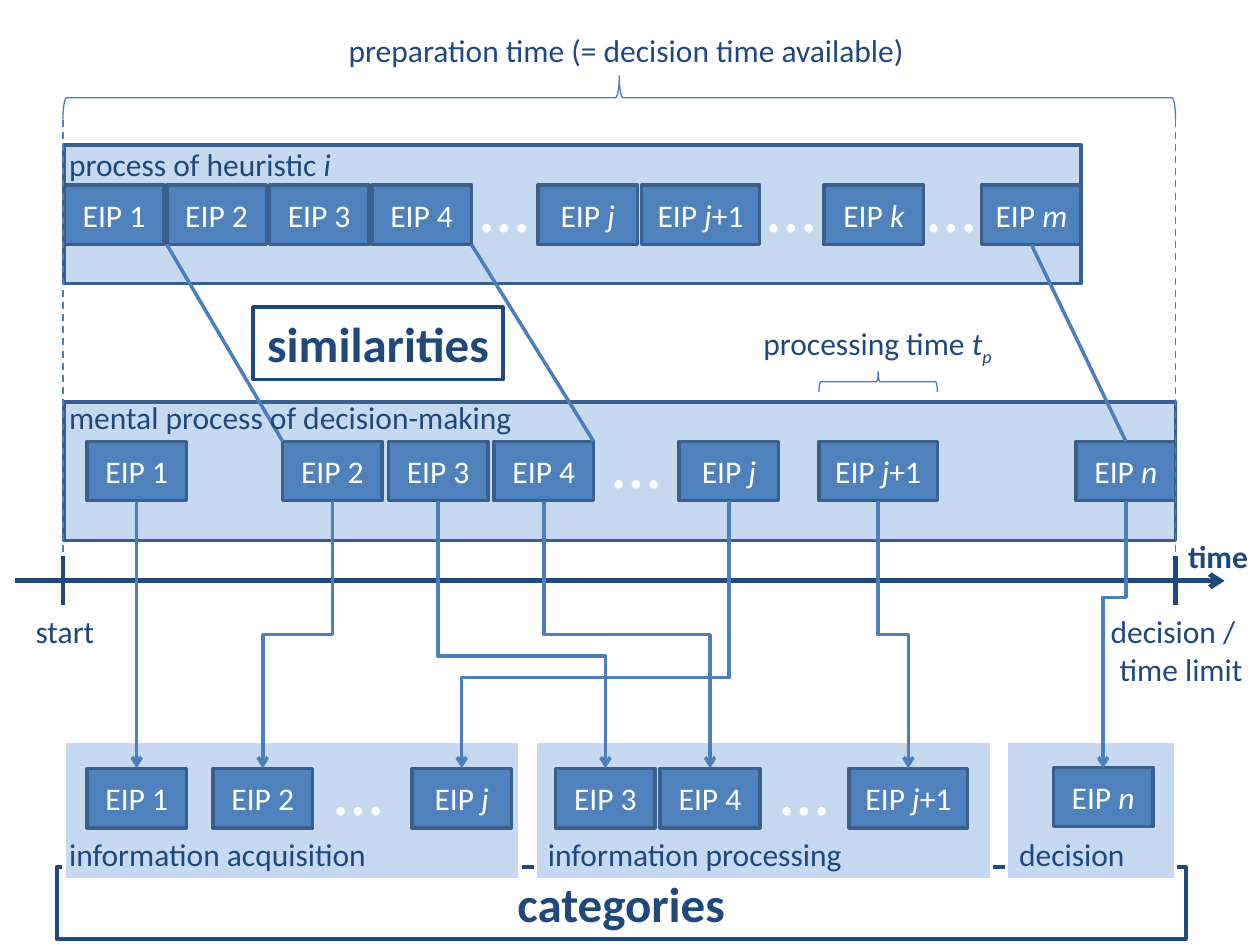
from lxml import etree
from pptx import Presentation
from pptx.dml.color import RGBColor
from pptx.enum.dml import MSO_LINE
from pptx.enum.shapes import MSO_CONNECTOR, MSO_SHAPE
from pptx.enum.text import MSO_ANCHOR, MSO_AUTO_SIZE, PP_ALIGN
from pptx.oxml.ns import qn
from pptx.util import Pt

RECT, BRACE = MSO_SHAPE.RECTANGLE, MSO_SHAPE.RIGHT_BRACE
STRAIGHT, ELBOW = MSO_CONNECTOR.STRAIGHT, MSO_CONNECTOR.ELBOW
LEFT, MID, RIGHT = PP_ALIGN.LEFT, PP_ALIGN.CENTER, PP_ALIGN.RIGHT
MIDDLE, TOP = MSO_ANCHOR.MIDDLE, MSO_ANCHOR.TOP
GROW, DASH = MSO_AUTO_SIZE.SHAPE_TO_FIT_TEXT, MSO_LINE.DASH

FONT = "Calibri"
COLORS = {"navy": "1F497D", "edge": "3A5F8C", "link": "4B7EBC",
          "step": "4F81BD", "pale": "C6D9F1", "white": "FFFFFF"}
STEP_W, WIDE_W, STEP_H = 56.9, 67.7, 33.9


def rgb(name):
    return RGBColor.from_string(COLORS[name])


def write(frame, text, size=18, color="navy", bold=False, align=LEFT):
    """Parts between asterisks are italic; a leading underscore makes a subscript."""
    frame.word_wrap = True
    para = frame.paragraphs[0]
    para.alignment = align
    for i, part in enumerate(text.split("*")):
        for n, piece in enumerate(part.split("\n")):
            if n:
                para.add_line_break()
            if not piece:
                continue
            run = para.add_run()
            run.text = piece.lstrip("_")
            font = run.font
            font.name, font.size, font.bold = FONT, Pt(size), bold
            font.color.rgb = rgb(color)
            font.italic = i % 2 == 1
            if piece.startswith("_"):
                run._r.get_or_add_rPr().set("baseline", "-25000")


class Chart:
    def __init__(self, slide):
        self.shapes = slide.shapes

    def box(self, x, y, w, h, fill="pale", edge="edge", weight=2):
        box = self.shapes.add_shape(RECT, Pt(x), Pt(y), Pt(w), Pt(h))
        box.shadow.inherit = False
        box.fill.solid()
        box.fill.fore_color.rgb = rgb(fill)
        box.line.color.rgb = rgb(edge)
        box.line.width = Pt(weight)
        return box

    def sign(self, text, x, y, w, h):
        box = self.box(x, y, w, h, "white", "navy", 2.25)
        box.text_frame.vertical_anchor = TOP
        write(box.text_frame, text, size=28, bold=True, align=MID)
        return box

    def label(self, text, x, y, w, h=29, **style):
        frame = self.shapes.add_textbox(Pt(x), Pt(y), Pt(w), Pt(h)).text_frame
        write(frame, text, **style)
        frame.auto_size = GROW

    def row(self, y, steps, dots=()):
        """Draw a row of steps and give back the centre of each one."""
        mids = {}
        for name, x in steps.items():
            w = WIDE_W if "+" in name else STEP_W
            box = self.box(x, y, w, STEP_H, "step")
            box.text_frame.vertical_anchor = MIDDLE
            write(box.text_frame, "EIP " + name, color="white", align=MID)
            mids[name] = x + w / 2
        for x in dots:
            self.label("…", x, y - 16.6, 45.4, 55.7, size=40, color="white")
        return mids

    def line(self, x1, y1, x2, y2, color="link", weight=2, arrow=False,
             dash=None, kind=STRAIGHT):
        line = self.shapes.add_connector(kind, Pt(x1), Pt(y1), Pt(x2), Pt(y2))
        line.line.color.rgb = rgb(color)
        line.line.width = Pt(weight)
        if dash:
            line.line.dash_style = dash
        props = line._element.spPr
        if arrow:
            etree.SubElement(props.find(qn("a:ln")), qn("a:tailEnd"), type="arrow")
        etree.SubElement(props, qn("a:effectLst"))
        return line

    def bend(self, x1, y1, x2, y2, turn):
        """Elbow arrow that leaves downwards and turns at a share of its height."""
        long, wide = y2 - y1, abs(x2 - x1)
        left, top = (x1 + x2 - long) / 2, (y1 + y2 - wide) / 2
        ends = [left, left + long]
        if x2 > x1:
            ends.reverse()
        line = self.line(ends[0], top, ends[1], top + wide, arrow=True, kind=ELBOW)
        props = line._element.spPr
        props.find(qn("a:xfrm")).set("rot", str((270 if x2 > x1 else 90) * 60000))
        guides = props.find(qn("a:prstGeom")).find(qn("a:avLst"))
        etree.SubElement(guides, qn("a:gd"), name="adj1",
                         fmla=f"val {round(turn * 100000)}")

    def brace(self, x, y, w, h):
        mark = self.shapes.add_shape(BRACE, Pt(x + (w - h) / 2), Pt(y + (h - w) / 2),
                                     Pt(h), Pt(w))
        mark.rotation = 270
        mark.shadow.inherit = False
        mark.fill.background()
        mark.line.color.rgb = rgb("link")
        mark.line.width = Pt(0.75)


def main():
    deck = Presentation()
    deck.slide_width, deck.slide_height = Pt(720), Pt(540)
    art = Chart(deck.slides.add_slide(deck.slide_layouts[6]))
    start, end = 36, 671.8

    # Frame of the categories
    sign = art.sign("categories", 32.4, 495.4, 645.1, 41.2)
    tint = sign._element.spPr.find(qn("a:solidFill"))[0]
    etree.SubElement(tint, qn("a:alpha"), val="26000")

    # Time axis
    art.line(8.6, 331.9, 699.8, 331.9, "navy", 2.75, arrow=True)
    for x in (start, end):
        art.line(x, 317.5, x, 345.6, "navy", 2.75)
    art.label("time", 671.8, 303.1, 51.1, bold=True)
    art.label("start", 7.2, 346.3, 59.8, align=MID)

    # Preparation time
    art.brace(start, 43.2, end - start, 25.2)
    art.label("preparation time (= decision time available)", 192.2, 14.4, 343.4)

    # Mental process
    art.box(36.7, 229.7, 635, 79.2)
    mental = art.row(252.2, {"1": 49.7, "2": 161.5, "3": 221.9, "4": 282.3,
                             "*j*": 388.1, "*j*+1": 468, "*n*": 614.9}, [342.7])

    # Category panels
    panels = [("information acquisition", 36.7, 260.6, 32.4),
              ("information processing", 306, 260.6, 306),
              ("decision", 575.3, 96.5, 575.3)]
    for name, x, w, left in panels:
        art.box(x, 423.4, w, 79.2, edge="white")
        art.label(name, left, 473.8, max(w - 60, 96.5))
    groups = art.row(439.2, {"1": 49.7, "2": 121.7, "*j*": 235.4, "3": 317.5,
                             "4": 377.3, "*j*+1": 485.3}, [184.3, 439.2])
    groups.update(art.row(438.5, {"*n*": 601.9}))

    # Arrows from mental steps to categories
    low, floor = 286.4, 439
    art.line(mental["1"], low, groups["1"], floor, arrow=True)
    turns = {"2": 0.5, "3": 0.58, "4": 0.5, "*j*+1": 0.5, "*j*": 0.66, "*n*": 0.36}
    for name, turn in turns.items():
        art.bend(mental[name], low, groups[name], floor, turn)
    art.label("decision / \ntime limit", 623.5, 346.3, 93.6, 51.1, align=RIGHT)

    # Heuristic process
    art.box(36.7, 82.8, 581, 79.2)
    steps = {str(n + 1): 36.7 + 58.6 * n for n in range(4)}
    steps.update({"*j*": 307.4, "*j*+1": 366.5, "*k*": 470.9, "*m*": 560.9})
    rule = art.row(105.8, steps, [267.8, 431.3, 522.7])
    art.label("process of heuristic *i*", 32.4, 79.2, 277.9)

    # Similarities
    half = STEP_W / 2
    for x1, x2 in [(rule["2"] - half, mental["2"] - half),
                   (rule["4"] + half, mental["4"] + half),
                   (rule["*m*"], mental["*n*"])]:
        art.line(x1, 139.7, x2, 252.2)
    art.label("mental process of decision-making", 32.4, 223.9, 277.9)
    art.sign("similarities", 144.7, 175.7, 142.6, 41.2)

    # Processing time
    art.brace(468, 212.4, WIDE_W, 11.5)
    art.label("processing time *t**_p*", 428.4, 181.4, 146.2, align=MID)

    # Limits of the time span
    for x in (start, end):
        art.line(x, 68.4, x, 317.5, weight=1, dash=DASH)

    deck.save("out.pptx")


if __name__ == "__main__":
    main()
